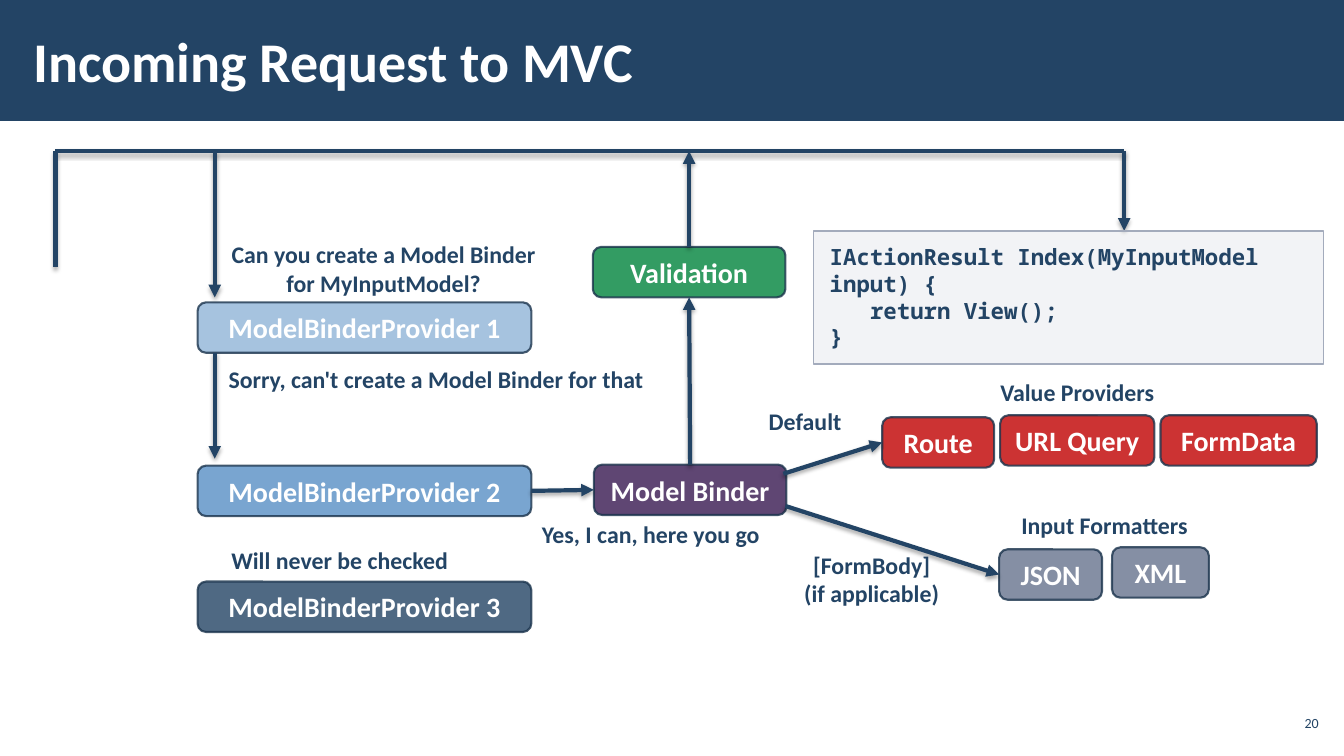
from dataclasses import dataclass

from lxml import etree
from pptx import Presentation
from pptx.dml.color import RGBColor
from pptx.enum.shapes import MSO_CONNECTOR, MSO_SHAPE
from pptx.enum.text import MSO_ANCHOR, PP_ALIGN
from pptx.oxml import parse_xml
from pptx.oxml.ns import nsdecls, qn
from pptx.util import Inches, Pt

STRAIGHT = MSO_CONNECTOR.STRAIGHT
RECTANGLE, ROUNDED = MSO_SHAPE.RECTANGLE, MSO_SHAPE.ROUNDED_RECTANGLE
TOP_ANCHOR, MIDDLE = MSO_ANCHOR.TOP, MSO_ANCHOR.MIDDLE
LEFT_ALIGN, CENTER, RIGHT_ALIGN = PP_ALIGN.LEFT, PP_ALIGN.CENTER, PP_ALIGN.RIGHT
TOP, LEFT, BOTTOM, RIGHT = range(4)  # connection sites of a rectangle
NODE_HEIGHT = 0.5


@dataclass(frozen=True)
class Theme:
    font: str = "Calibri"
    code_font: str = "Noto Sans Mono"
    title_size: int = 40
    node_size: int = 20
    label_size: int = 17
    code_size: int = 16
    number_size: int = 10
    white: str = "FFFFFF"
    navy: str = "234465"
    outline: str = "1A334C"
    providers: tuple = ("90B4D8", "588FC5", "234465")
    binder: str = "381850"
    validation: str = "00843C"
    value_provider: str = "C00000"
    formatter: str = "67748E"
    code_fill: str = "C2C7D2"
    code_line: str = "A3ABBC"


THEME = Theme()


@dataclass(frozen=True)
class Box:
    left: float
    top: float
    width: float
    height: float

    def inner(self, left, top, width, height):
        return Box(self.left + left, self.top + top, width, height)

    def lengths(self):
        return [Inches(v) for v in (self.left, self.top, self.width, self.height)]


def set_alpha(parent, percent):
    color = parent.find(qn("a:solidFill")).find(qn("a:srgbClr"))
    etree.SubElement(color, qn("a:alpha")).set("val", str(percent * 1000))


def write(shape, text, size, color, align=CENTER, anchor=MIDDLE, bold=True,
          font=THEME.font, margins=(0.1, 0.05), wrap=True):
    frame = shape.text_frame
    frame.text = text
    frame.word_wrap = wrap
    frame.vertical_anchor = anchor
    frame.margin_left = frame.margin_right = Inches(margins[0])
    frame.margin_top = frame.margin_bottom = Inches(margins[1])
    for paragraph in frame.paragraphs:
        paragraph.alignment = align
        paragraph.font.name = font
        paragraph.font.size = Pt(size)
        paragraph.font.bold = bold
        paragraph.font.color.rgb = RGBColor.from_string(color)
    return frame


def add_panel(slide, kind, box, fill, fill_alpha=100, line=None, line_width=1, line_alpha=100):
    shape = slide.shapes.add_shape(kind, *box.lengths())
    shape.shadow.inherit = False
    shape.fill.solid()
    shape.fill.fore_color.rgb = RGBColor.from_string(fill)
    properties = shape._element.spPr
    set_alpha(properties, fill_alpha)
    if line:
        shape.line.color.rgb = RGBColor.from_string(line)
        shape.line.width = Pt(line_width)
        set_alpha(properties.find(qn("a:ln")), line_alpha)
    else:
        shape.line.fill.background()
    return shape


def add_node(slide, box, text, color):
    node = add_panel(slide, ROUNDED, box, color, 80, THEME.outline, 1.5, 80)
    write(node, text, THEME.node_size, THEME.white, margins=(0.05, 0.05))
    return node


def add_label(slide, box, text):
    label = slide.shapes.add_textbox(*box.lengths())
    write(label, text, THEME.label_size, THEME.navy, anchor=TOP_ANCHOR, wrap=False)


def add_line(slide, start, end, arrow=True, source=None, target=None):
    """Draw a line; source and target are optional (shape, site) pairs."""
    line = slide.shapes.add_connector(STRAIGHT, *[Inches(v) for v in (*start, *end)])
    if source:
        line.begin_connect(*source)
    if target:
        line.end_connect(*target)
    line.line.color.rgb = RGBColor.from_string(THEME.navy)
    line.line.width = Pt(3)
    properties = line._element.spPr
    if arrow:
        etree.SubElement(properties.find(qn("a:ln")), qn("a:tailEnd")).set("type", "triangle")
    properties.append(parse_xml(
        f'<a:effectLst {nsdecls("a")}><a:outerShdw blurRad="{Pt(3.1)}" dist="{Pt(1.8)}" '
        'dir="5400000" rotWithShape="0"><a:srgbClr val="000000"><a:alpha val="35000"/>'
        '</a:srgbClr></a:outerShdw></a:effectLst>'))


def build_header(slide, box):
    add_panel(slide, RECTANGLE, box, THEME.navy)
    title = slide.shapes.add_textbox(*box.inner(0.21, 0.11, 10.4, 0.97).lengths())
    write(title, "Incoming Request to MVC", THEME.title_size, THEME.white,
          LEFT_ALIGN, margins=(0.12, 0.04))


def build_slide_number(slide, box):
    number = slide.shapes.add_textbox(*box.lengths())
    write(number, "20", THEME.number_size, THEME.navy, RIGHT_ALIGN, bold=False,
          margins=(0.04, 0.04))


def build_rail(slide, box):
    """Request line with its entry on the left and the action on the right."""
    right = box.left + box.width
    add_line(slide, (box.left, box.top), (right, box.top), arrow=False)
    add_line(slide, (box.left, box.top + 1.15), (box.left, box.top), arrow=False)
    add_line(slide, (right, box.top), (right, box.top + box.height))


def build_action(slide, box):
    panel = add_panel(slide, RECTANGLE, box, THEME.code_fill, 20, THEME.code_line)
    frame = write(panel, "IActionResult Index(MyInputModel input) {\nreturn View();\n}",
                  THEME.code_size, THEME.navy, LEFT_ALIGN, TOP_ANCHOR,
                  font=THEME.code_font, margins=(0.16, 0.12))
    body = frame.paragraphs[1]._p.get_or_add_pPr()
    body.set("marL", str(Inches(0.4)))
    body.set("indent", "0")


def build_providers(slide, box):
    """Chain of providers; returns the one that answers."""
    nodes = [add_node(slide, box.inner(0, top, box.width, NODE_HEIGHT),
                      f"ModelBinderProvider {index}", color)
             for index, (top, color) in enumerate(zip((1.5, 3.12, 4.27), THEME.providers), 1)]
    column = box.left + 0.17
    for start, end in ((0, 1.45), (2, 3.05)):
        add_line(slide, (column, box.top + start), (column, box.top + end))
    add_label(slide, box.inner(0.23, 0.83, 3.23, 0.67),
              "Can you create a Model Binder\nfor MyInputModel?")
    add_label(slide, box.inner(0.19, 2.07, 4.35, 0.39),
              "Sorry, can't create a Model Binder for that")
    add_label(slide, box.inner(0.23, 3.86, 2.36, 0.39), "Will never be checked")
    return nodes[1]


def build_binder(slide, box, provider):
    binder = add_node(slide, box.inner(0.01, 3.11, box.width, NODE_HEIGHT),
                      "Model Binder", THEME.binder)
    validation = add_node(slide, box.inner(0, 0.95, box.width, NODE_HEIGHT),
                          "Validation", THEME.validation)
    middle = (box.left + box.width / 2, box.top)
    add_line(slide, middle, middle, source=(provider, RIGHT), target=(binder, LEFT))
    add_line(slide, middle, middle, source=(binder, TOP), target=(validation, BOTTOM))
    add_line(slide, middle, middle, source=(validation, TOP))
    add_label(slide, box.inner(-0.61, 3.61, 2.37, 0.39), "Yes, I can, here you go")


def build_source(slide, box, heading, nodes, color, start):
    """Heading over a row of sources, reached from the binder by an arrow."""
    add_label(slide, box.inner(*heading[1:]), heading[0])
    row = [add_node(slide, box.inner(left, top, width, NODE_HEIGHT), text, color)
           for text, left, top, width in nodes]
    add_line(slide, start, start, target=(row[0], LEFT))


def build_slide(presentation):
    slide = presentation.slides.add_slide(presentation.slide_layouts[6])
    build_header(slide, Box(0, 0, 13.33, 1.2))
    build_rail(slide, Box(0.55, 1.5, 10.6, 0.79))
    build_action(slide, Box(8.07, 2.29, 5.06, 1.32))
    provider = build_providers(slide, Box(1.96, 1.5, 3.31, 4.77))
    build_binder(slide, Box(5.88, 1.5, 1.91, 4), provider)
    build_source(slide, Box(8.75, 3.7, 4.31, 0.94), ("Value Providers", 1.07, 0, 1.73, 0.39),
                 (("Route", 0, 0.44, 1.11), ("URL Query", 1.17, 0.42, 1.53),
                  ("FormData", 2.76, 0.42, 1.55)), THEME.value_provider, (7.77, 4.7))
    build_source(slide, Box(9.91, 5.02, 2.08, 0.93), ("Input Formatters", 0.11, 0, 1.87, 0.39),
                 (("JSON", 0, 0.43, 1.02), ("XML", 1.12, 0.41, 0.96)),
                 THEME.formatter, (7.79, 5.02))
    add_label(slide, Box(7.52, 3.99, 0.93, 0.39), "Default")
    add_label(slide, Box(7.87, 5.41, 1.55, 0.67), "[FormBody]\n(if applicable)")
    build_slide_number(slide, Box(12.65, 7, 0.47, 0.34))


def main():
    presentation = Presentation()
    presentation.slide_width, presentation.slide_height = Inches(13.33), Inches(7.5)
    build_slide(presentation)
    presentation.save("out.pptx")


if __name__ == "__main__":
    main()
